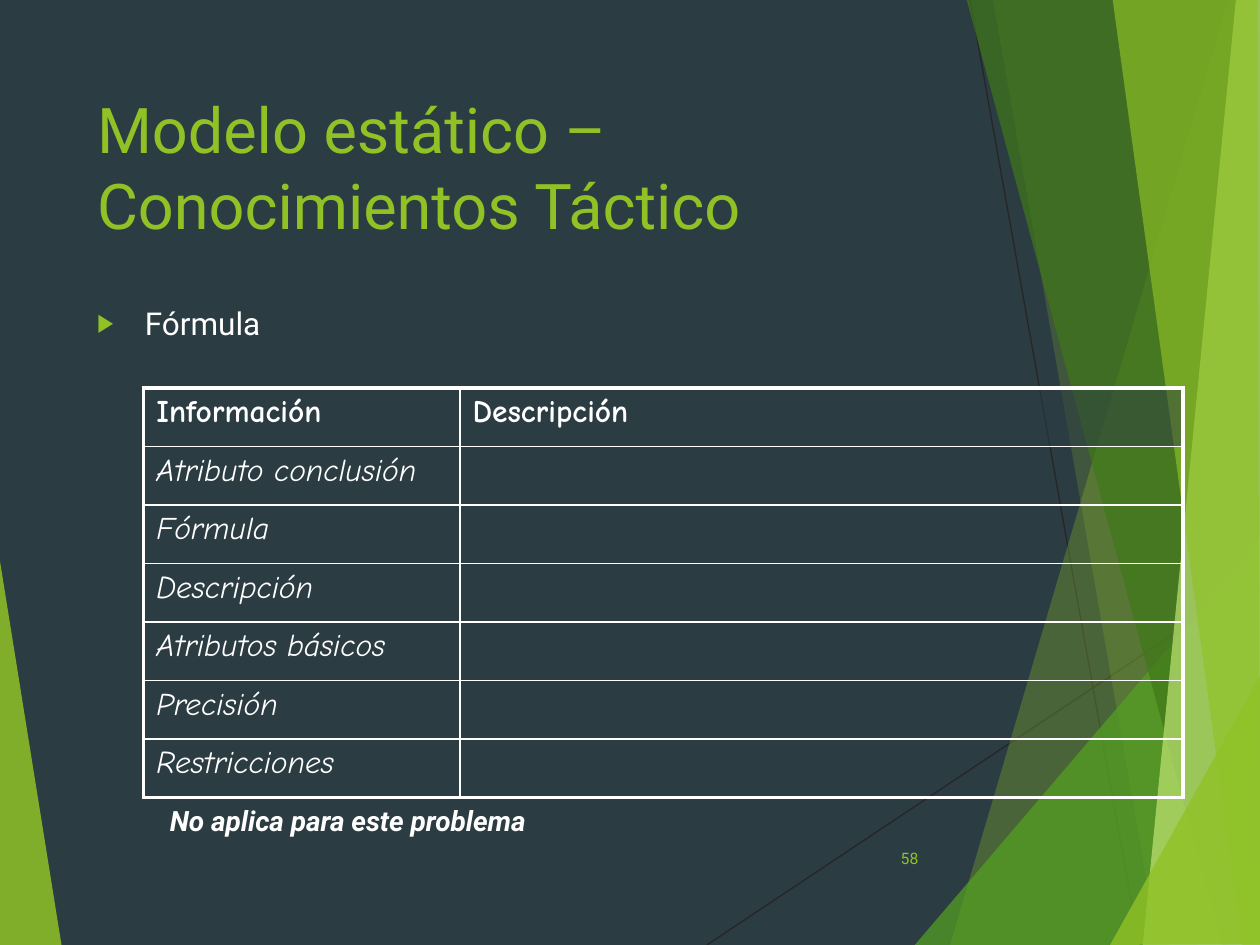
import lxml.etree
import pptx
import pptx.dml.color
import pptx.enum.shapes
import pptx.enum.text
import pptx.oxml.ns
import pptx.util

PX_PER_INCH = 100
GREEN, WHITE, SLATE = "90C226", "FFFFFF", "2C3C43"
TRACES = [((561, 750), (1001, 457)), ((770, 0), (904, 750))]
FACETS = [
    (GREEN, 85, [(-1, 439), (49, 751), (-1, 750)]),
    (GREEN, 30, [(975, 0), (754, 750), (1002, 751), (1001, 1)]),
    (GREEN, 20, [(788, -1), (919, 750), (1001, 750), (1001, -1)]),
    ("54A021", 72, [(726, 750), (1000, 429), (1001, 750)]),
    ("3F7819", 70, [(767, -1), (970, 750), (1001, 749), (1001, -1)]),
    ("C0E474", 70, [(981, -1), (907, 750), (1001, 750), (1000, -1)]),
    (GREEN, 65, [(883, -1), (986, 750), (1000, 750), (998, -1)]),
    (GREEN, 80, [(881, 750), (1001, 535), (1001, 749)]),
]
ATTRIBUTES = ["Atributo conclusión", "Fórmula", "Descripción",
              "Atributos básicos", "Precisión", "Restricciones"]


def px(length):
    """Turn px into EMU."""
    return pptx.util.Emu(round(length * 914400 / PX_PER_INCH))


def rgb(value):
    """Turn a hex string into a colour."""
    return pptx.dml.color.RGBColor.from_string(value)


def add_xml(parent, tag, **attributes):
    """Append a DrawingML element with the given attributes."""
    return lxml.etree.SubElement(parent, pptx.oxml.ns.qn(tag), attributes)


def paint(fill, owner, color, opacity=100):
    """Give a solid fill, with an opacity in per cent."""
    fill.solid()
    fill.fore_color.rgb = rgb(color)
    if opacity < 100:
        tint = next(owner.iter(pptx.oxml.ns.qn("a:solidFill")))[0]
        add_xml(tint, "a:alpha", val=str(opacity * 1000))


def write(frame, text, size=18, font="Roboto", color=WHITE, bold=False,
          italic=False, anchor=pptx.enum.text.MSO_ANCHOR.TOP):
    """Write one formatted paragraph and return it."""
    frame.vertical_anchor = anchor
    frame.word_wrap = True
    paragraph = frame.paragraphs[0]
    paragraph.alignment = pptx.enum.text.PP_ALIGN.LEFT
    run = paragraph.add_run()
    run.text = text
    run.font.size = pptx.util.Pt(size)
    run.font.name = font
    run.font.color.rgb = rgb(color)
    run.font.bold, run.font.italic = bold, italic
    return paragraph


def fill_placeholder(placeholder, box, text, **style):
    """Bring a placeholder to the front, move it to the box and write in it."""
    placeholder.element.getparent().append(placeholder.element)
    placeholder.left, placeholder.top, placeholder.width, placeholder.height = map(px, box)
    placeholder.text_frame.auto_size = pptx.enum.text.MSO_AUTO_SIZE.NONE
    return write(placeholder.text_frame, text, **style)


def add_label(slide, box, text, **style):
    """Add a text box."""
    label = slide.shapes.add_textbox(*map(px, box))
    write(label.text_frame, text, **style)


def add_backdrop(slide, box):
    """Draw the thin traces and the translucent green facets."""
    left, top = box[:2]
    for (x1, y1), (x2, y2) in TRACES:
        trace = slide.shapes.add_connector(
            pptx.enum.shapes.MSO_CONNECTOR.STRAIGHT,
            px(left + x1), px(top + y1), px(left + x2), px(top + y2))
        trace.line.color.rgb = rgb("262626")
        trace.line.width = pptx.util.Pt(0.75)
        add_xml(trace.element.spPr, "a:effectLst")
    for color, opacity, corners in FACETS:
        points = [(left + x, top + y) for x, y in corners]
        builder = slide.shapes.build_freeform(*points[0], scale=px(1))
        builder.add_line_segments(points[1:], close=True)
        facet = builder.convert_to_shape()
        facet.shadow.inherit = False
        facet.line.fill.background()
        paint(facet.fill, facet.element.spPr, color, opacity)


def add_topic(placeholder, box, text):
    """Write the bulleted topic in the body placeholder."""
    topic = fill_placeholder(placeholder, box, text)
    topic.space_before = pptx.util.Pt(10)
    properties = topic._p.get_or_add_pPr()
    properties.set("marL", str(px(38)))
    properties.set("indent", str(px(-38)))
    add_xml(add_xml(properties, "a:buClr"), "a:srgbClr", val=GREEN)
    add_xml(properties, "a:buSzPct", val="80000")
    add_xml(properties, "a:buChar", char="▶")


def add_borders(cell, outer_sides):
    """Draw white cell borders, thicker on the outer sides."""
    properties = cell._tc.get_or_add_tcPr()
    for side in "LRTB":
        width = pptx.util.Pt(2.25 if side in outer_sides else 1)
        border = add_xml(properties, f"a:ln{side}", w=str(width))
        add_xml(add_xml(border, "a:solidFill"), "a:srgbClr", val=WHITE)


def add_formula_table(slide, box):
    """Add the table of formula attributes and their blank descriptions."""
    rows = [("Información", "Descripción")] + [(name, "") for name in ATTRIBUTES]
    table = slide.shapes.add_table(len(rows), 2, *map(px, box)).table
    table.first_row = table.horz_banding = False
    table.columns[0].width = px(251)
    table.columns[1].width = px(box[2] - 251)
    for r, entries in enumerate(rows):
        header = r == 0
        for c, entry in enumerate(entries):
            cell = table.cell(r, c)
            outer = "LR"[c] + ("T" if header else "") + ("B" if r == len(rows) - 1 else "")
            if entry:
                write(cell.text_frame, entry, font="Comic Neue", bold=header, italic=not header)
            add_borders(cell, outer)
            if header:
                cell.fill.solid()
                cell.fill.fore_color.rgb = rgb(SLATE)
                fill = cell._tc.tcPr.find(pptx.oxml.ns.qn("a:solidFill"))
                add_xml(fill[0], "a:alpha", val="50000")
            else:
                cell.fill.background()


def main():
    """Build the slide and save it."""
    deck = pptx.Presentation()
    deck.slide_width, deck.slide_height = px(1000), px(750)
    slide = deck.slides.add_slide(deck.slide_layouts[1])
    slide.background.fill.solid()
    slide.background.fill.fore_color.rgb = rgb(SLATE)
    title, body = slide.placeholders
    add_backdrop(slide, (0, 0, 1000, 750))
    fill_placeholder(title, (67, 67, 694, 144), "Modelo estático – Conocimientos Táctico",
                     size=36, color=GREEN)
    add_topic(body, (67, 236, 694, 424), "Fórmula")
    add_formula_table(slide, (114, 308, 825, 325))
    add_label(slide, (125, 633, 351, 37), "No aplica para este problema",
              size=16, bold=True, italic=True)
    add_label(slide, (705, 661, 56, 40), "58", size=9, color=GREEN,
              anchor=pptx.enum.text.MSO_ANCHOR.MIDDLE)
    deck.save("out.pptx")


if __name__ == "__main__":
    main()
